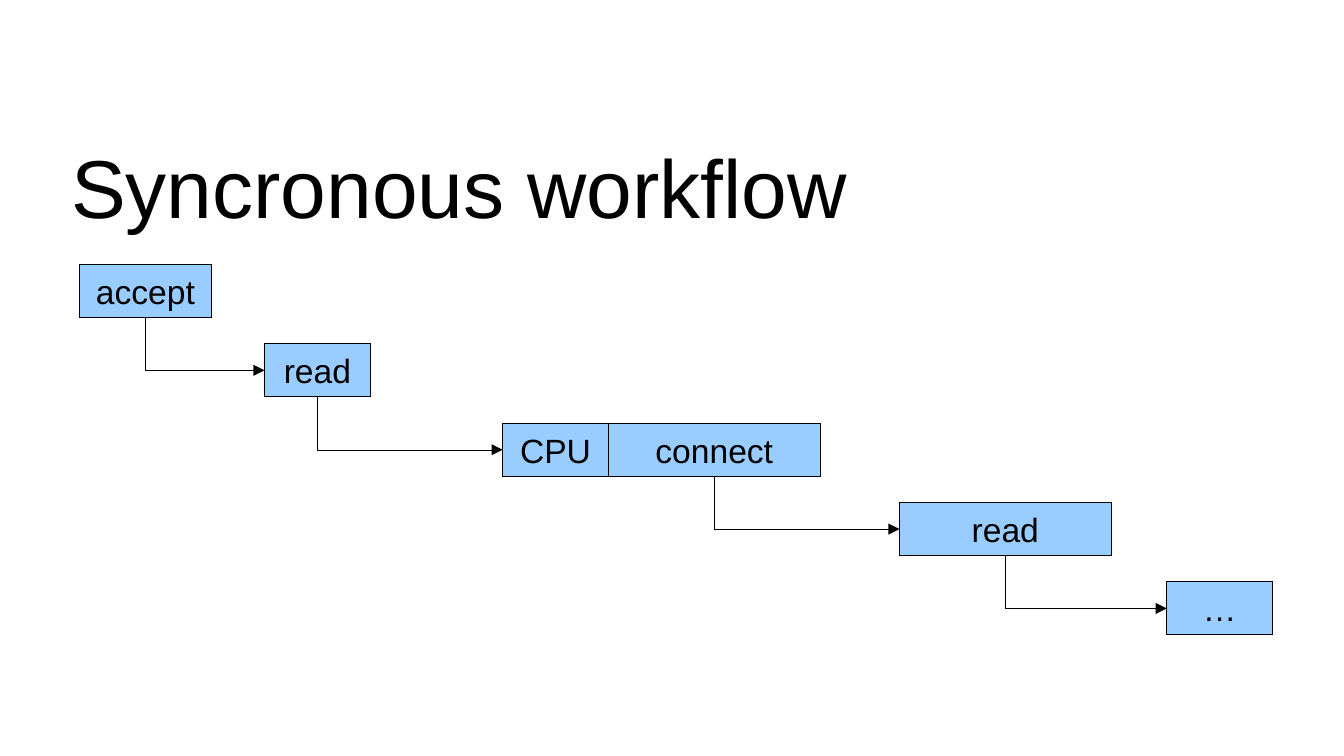
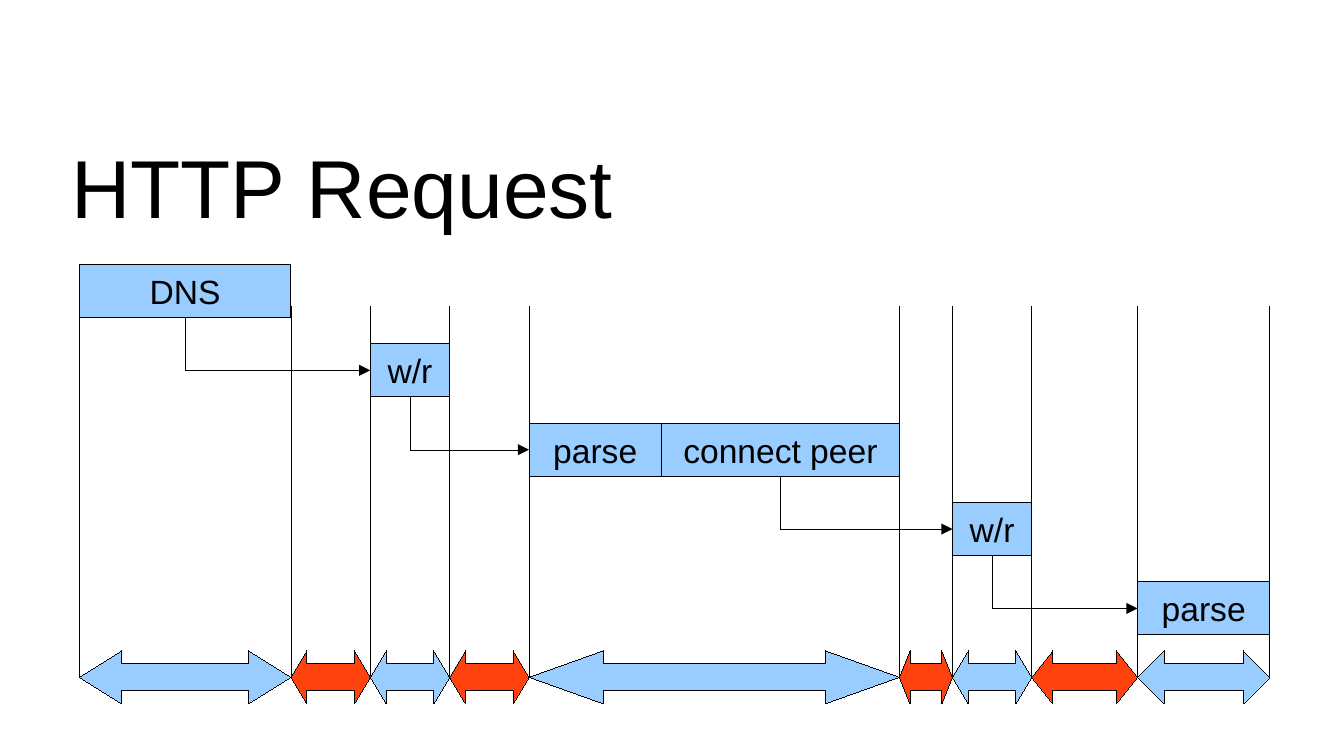
import pptx
import pptx.util
from pptx.dml.color import RGBColor
from pptx.enum.shapes import MSO_CONNECTOR, MSO_SHAPE
from pptx.enum.text import MSO_ANCHOR, PP_ALIGN
from pptx.oxml.ns import qn
from lxml import etree

Cm, Inches, Pt = pptx.util.Cm, pptx.util.Inches, pptx.util.Pt

BLACK = RGBColor(0x00, 0x00, 0x00)
BLUE = RGBColor(0x99, 0xCC, 0xFF)
RED = RGBColor(0xFF, 0x42, 0x0E)
FONT = "Arial"

# The diagrams sit on a centimetre grid
FIRST_ROW, ROW_STEP, BLOCK_HEIGHT = 5, 1.5, 1
GUIDE_TOP, GUIDE_BOTTOM = 5.8, 12.8

# Each row holds its blocks as (left, width, label)
WORKFLOWS = {
    "Syncronous workflow": [
        [(1.5, 2.5, "accept")],
        [(5, 2, "read")],
        [(9.5, 2, "CPU"), (11.5, 4, "connect")],
        [(17, 4, "read")],
        [(22.05, 2, "…")],
    ],
    "HTTP Request": [
        [(1.5, 4, "DNS")],
        [(7, 1.5, "w/r")],
        [(10, 2.5, "parse"), (12.5, 4.5, "connect peer")],
        [(18, 1.5, "w/r")],
        [(21.5, 2.5, "parse")],
    ],
}
PHASE_EDGES = [1.5, 5.5, 7, 8.5, 10, 17, 18, 19.5, 21.5, 24]


def add_block(s, kind, left, top, width, fill):
    sp = s.shapes.add_shape(kind, Cm(left), Cm(top), Cm(width), Cm(BLOCK_HEIGHT))
    sp.shadow.inherit = False
    sp.fill.solid()
    sp.fill.fore_color.rgb = fill
    sp.line.color.rgb = BLACK
    return sp


def add_line(s, kind, x1, y1, x2, y2):
    c = s.shapes.add_connector(kind, x1, y1, x2, y2)
    c.line.color.rgb = BLACK
    etree.SubElement(c._element.spPr, qn("a:effectLst"))
    return c


prs = pptx.Presentation()
prs.slide_width, prs.slide_height = Inches(10), Inches(10) * 9 // 16

for title, rows in WORKFLOWS.items():
    s = prs.slides.add_slide(prs.slide_layouts[6])

    tf = s.shapes.add_textbox(Inches(0.53), Inches(1), Inches(9), Inches(0.76)).text_frame
    tf.margin_left = tf.margin_right = tf.margin_top = tf.margin_bottom = 0
    tf.word_wrap = True
    tf.vertical_anchor = MSO_ANCHOR.MIDDLE
    tf.text = title
    font = tf.paragraphs[0].runs[0].font
    font.name, font.size, font.color.rgb = FONT, Pt(44), BLACK

    steps = []
    for i, row in enumerate(rows):
        blocks = []
        for left, width, label in row:
            sp = add_block(s, MSO_SHAPE.FLOWCHART_PROCESS, left,
                           FIRST_ROW + i * ROW_STEP, width, BLUE)
            tf = sp.text_frame
            tf.word_wrap = True
            tf.vertical_anchor = MSO_ANCHOR.MIDDLE
            tf.text = label
            p = tf.paragraphs[0]
            p.alignment = PP_ALIGN.CENTER
            font = p.runs[0].font
            font.name, font.size, font.color.rgb = FONT, Pt(18), BLACK
            blocks.append(sp)
        steps.append(blocks)

    # From the last block of a row down and right to the first of the next
    for current, following in zip(steps, steps[1:]):
        source, target = current[-1], following[0]
        x1, y1 = source.left + source.width // 2, source.top + source.height
        x2, y2 = target.left, target.top + target.height // 2
        c = add_line(s, MSO_CONNECTOR.ELBOW, x1, y1, x2, y2)
        c.begin_connect(source, 2)
        c.end_connect(target, 1)
        # A single bend that starts downwards is a turned, mirrored frame
        run, drop = x2 - x1, y2 - y1
        c.left, c.top = (x1 + x2 - drop) // 2, (y1 + y2 - run) // 2
        c.width, c.height = drop, run
        spPr = c._element.spPr
        spPr.find(qn("a:prstGeom")).set("prst", "bentConnector2")
        xfrm = spPr.find(qn("a:xfrm"))
        xfrm.set("rot", "16200000")
        xfrm.set("flipH", "1")
        etree.SubElement(spPr.find(qn("a:ln")), qn("a:tailEnd"), type="triangle")

# Phases under the HTTP request: work in blue, waiting in red
for x in PHASE_EDGES:
    add_line(s, MSO_CONNECTOR.STRAIGHT, Cm(x), Cm(GUIDE_TOP), Cm(x), Cm(GUIDE_BOTTOM))

for i, (left, right) in enumerate(zip(PHASE_EDGES, PHASE_EDGES[1:])):
    width = right - left
    sp = add_block(s, MSO_SHAPE.LEFT_RIGHT_ARROW, left,
                   GUIDE_BOTTOM - BLOCK_HEIGHT / 2, width, RED if i % 2 else BLUE)
    sp.adjustments[0] = 0.5
    sp.adjustments[1] = 0.2 * width / BLOCK_HEIGHT

# Hairlines need an explicit zero, as line.width drops it for the theme's width
for s in prs.slides:
    for ln in s.shapes._spTree.iter(qn("a:ln")):
        ln.set("w", "0")

prs.save("out.pptx")
